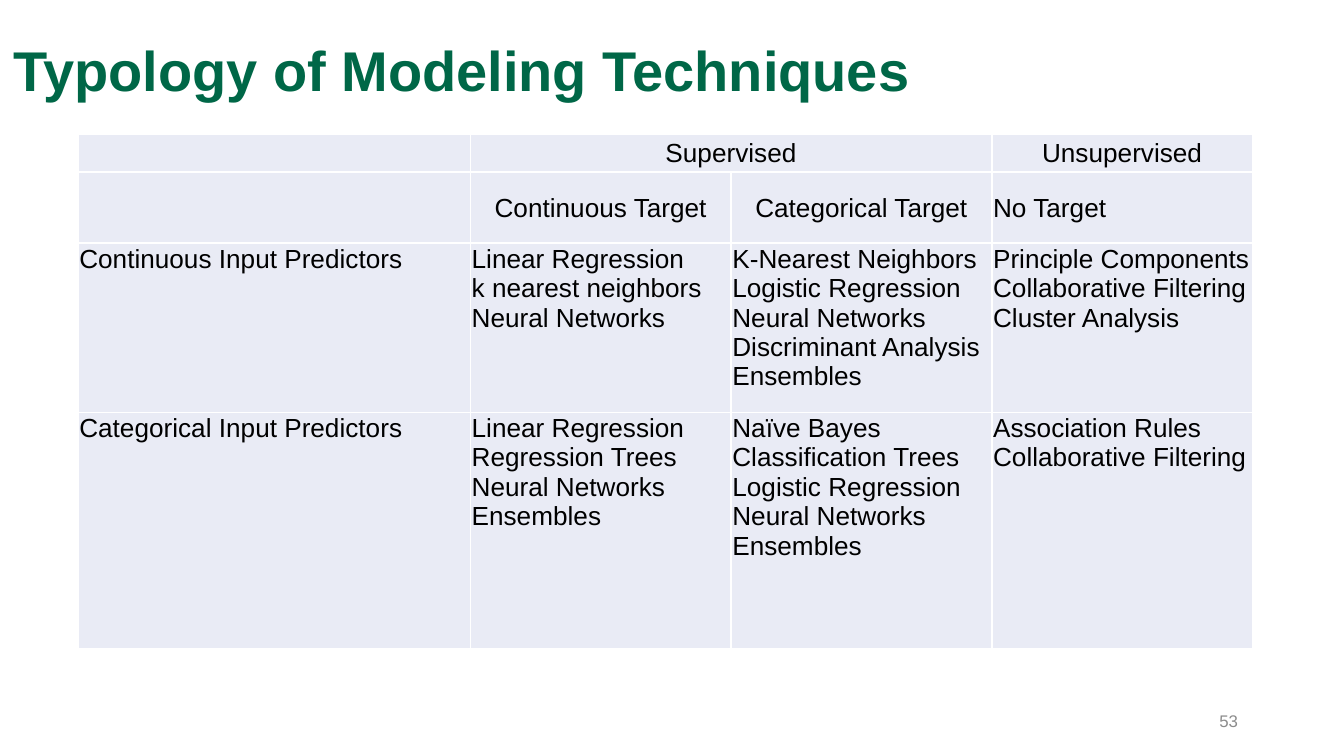
import lxml.etree
import pptx
import pptx.dml.color
import pptx.enum.text
import pptx.oxml.ns
import pptx.util

Inches = pptx.util.Inches
Pt = pptx.util.Pt
ALIGN = pptx.enum.text.PP_ALIGN
ANCHOR = pptx.enum.text.MSO_ANCHOR
qn = pptx.oxml.ns.qn

TITLE = "Typology of Modeling Techniques"
PAGE_NUMBER = "53"
# "\v" is a line break inside a paragraph
ROWS = [
    ["", "Supervised", "", "Unsupervised"],
    ["", "Continuous Target", "Categorical Target", "No Target"],
    [
        "Continuous Input Predictors",
        "Linear Regression\vk nearest neighbors\vNeural Networks",
        "K-Nearest Neighbors\vLogistic Regression\vNeural Networks\v"
        "Discriminant Analysis\vEnsembles",
        "Principle Components\vCollaborative Filtering\vCluster Analysis",
    ],
    [
        "Categorical Input Predictors",
        "Linear Regression\vRegression Trees\vNeural Networks\vEnsembles",
        "Naïve Bayes Classification Trees\vLogistic Regression\v"
        "Neural Networks\vEnsembles",
        "Association Rules\vCollaborative Filtering",
    ],
]
HEADER_ROWS = 2
LEFT_ALIGNED_HEADER = "No Target"
SLIDE_WIDTH = 10
SLIDE_HEIGHT = SLIDE_WIDTH * 9 / 16
COLUMN_WIDTHS = [2.92, 1.94, 1.94, 1.94]
ROW_HEIGHTS = [0.28, 0.53, 1.26, 1.76]
TABLE_LEFT, TABLE_TOP = 0.58, 1
TABLE_SIZE = 14
GREEN, BLACK, GREY = "006747", "000000", "8C8C8C"
CELL_FILL, BORDER = "E9EBF5", "FFFFFF"


def color(value):
    return pptx.dml.color.RGBColor.from_string(value)


def write(frame, text, size, ink, align=ALIGN.LEFT, bold=False):
    """Set the text of a one-paragraph frame and format its runs and breaks."""
    para = frame.paragraphs[0]
    para.text = text
    para.alignment = align
    for span in para.runs:
        span.font.name = "Arial"
        span.font.size = Pt(size)
        span.font.bold = bold
        span.font.color.rgb = color(ink)
    for line_break in para._p.findall(qn("a:br")):
        lxml.etree.SubElement(line_break, qn("a:rPr"), sz=str(size * 100))
    if not text:  # keeps empty cells from stretching their row
        lxml.etree.SubElement(para._p, qn("a:endParaRPr"), sz=str(size * 100))


def add_borders(cell):
    properties = cell._tc.get_or_add_tcPr()
    for position, side in enumerate(("lnL", "lnR", "lnT", "lnB")):
        line = lxml.etree.Element(qn("a:" + side), w=str(Pt(1)))
        fill = lxml.etree.SubElement(line, qn("a:solidFill"))
        lxml.etree.SubElement(fill, qn("a:srgbClr"), val=BORDER)
        properties.insert(position, line)


def format_cell(cell, text, is_header):
    cell.margin_left = cell.margin_right = cell.margin_top = Inches(0.01)
    cell.margin_bottom = 0
    cell.vertical_anchor = ANCHOR.MIDDLE if is_header else ANCHOR.TOP
    centered = is_header and text != LEFT_ALIGNED_HEADER
    write(cell.text_frame, text, TABLE_SIZE, BLACK,
          ALIGN.CENTER if centered else ALIGN.LEFT)
    cell.fill.solid()
    cell.fill.fore_color.rgb = color(CELL_FILL)
    add_borders(cell)


def add_typology_table(slide):
    frame = slide.shapes.add_table(
        len(ROWS), len(COLUMN_WIDTHS), Inches(TABLE_LEFT), Inches(TABLE_TOP),
        Inches(sum(COLUMN_WIDTHS)), Inches(sum(ROW_HEIGHTS)))
    table = frame.table
    for column, width in zip(table.columns, COLUMN_WIDTHS):
        column.width = Inches(width)
    for row, height in zip(table.rows, ROW_HEIGHTS):
        row.height = Inches(height)
    for row_index, texts in enumerate(ROWS):
        for column_index, text in enumerate(texts):
            format_cell(table.cell(row_index, column_index), text,
                        row_index < HEADER_ROWS)
    table.cell(0, 1).merge(table.cell(0, 2))


def main():
    deck = pptx.Presentation()
    deck.slide_width = Inches(SLIDE_WIDTH)
    deck.slide_height = Inches(SLIDE_HEIGHT)
    slide = deck.slides.add_slide(deck.slide_layouts[5])

    title = slide.shapes.title
    title.left, title.top = 0, 0
    title.width, title.height = Inches(8.62), Inches(1.09)
    title.text_frame.vertical_anchor = ANCHOR.MIDDLE
    write(title.text_frame, TITLE, 30, GREEN, bold=True)
    title.text_frame.paragraphs[0].line_spacing = 0.9

    add_typology_table(slide)

    number = slide.shapes.add_textbox(
        Inches(7.06), Inches(5.21), Inches(2.25), Inches(0.3))
    number.text_frame.word_wrap = True
    number.text_frame.vertical_anchor = ANCHOR.MIDDLE
    write(number.text_frame, PAGE_NUMBER, 9, GREY, ALIGN.RIGHT)

    deck.save("out.pptx")


if __name__ == "__main__":
    main()
